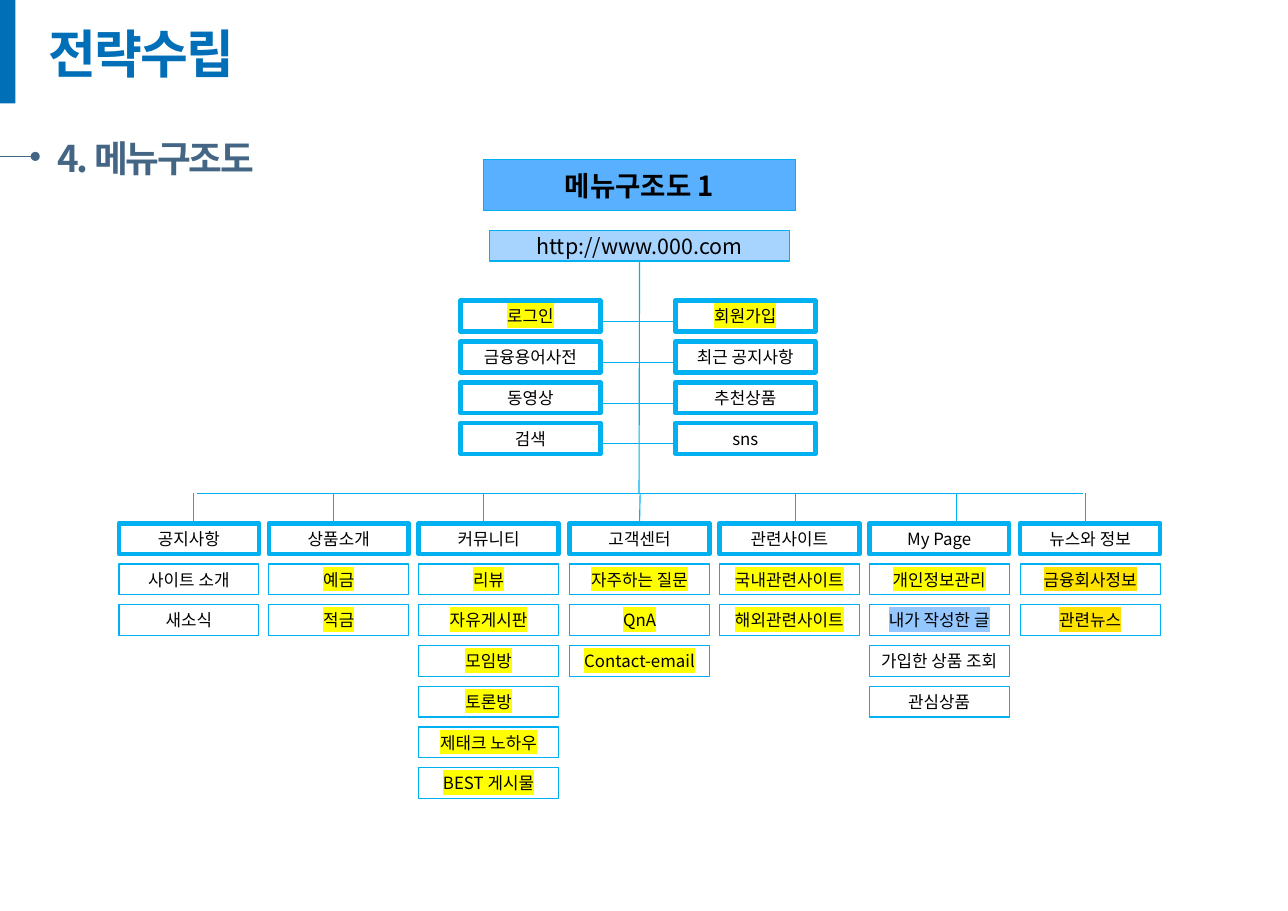
from dataclasses import dataclass

from lxml.etree import SubElement
from pptx import Presentation
from pptx.dml.color import RGBColor as RGB
from pptx.enum.shapes import MSO_CONNECTOR as CONN, MSO_SHAPE as SHAPE
from pptx.enum.text import MSO_ANCHOR as ANCHOR, MSO_AUTO_SIZE as AUTO, PP_ALIGN as ALIGN
from pptx.oxml.ns import qn
from pptx.util import Emu, Pt

EMU_PER_PX = 9144


@dataclass(frozen=True)
class Theme:
    """Colours, font, type sizes and line widths of the slide."""
    font: str = "Noto Sans CJK KR"
    title: str = "016FB8"
    heading: str = "446684"
    line: str = "00B0F0"
    ink: str = "000000"
    paper: str = "FFFFFF"
    banner: str = "59B0FF"
    address: str = "A6D4FF"
    yellow: str = "FFFF00"
    amber: str = "FFE200"
    blue: str = "94C7FF"
    title_pt: int = 34
    heading_pt: int = 24
    banner_pt: int = 18
    address_pt: int = 14
    item_pt: int = 11
    thin: float = 0.75
    thick: float = 3
    rule: float = 0.5


T = Theme()
BOX_W, BOX_H, ROW_STEP = 127, 28, 37
TRUNK_X, BUS_Y = 580, 448
QUICK_X, QUICK_Y = (418, 613), 273
MENU_X, MENU_Y, MENU_SPAN = 108, 475, 818

QUICK_LINKS = [
    (("로그인", T.yellow), ("회원가입", T.yellow)),
    (("금융용어사전", None), ("최근 공지사항", None)),
    (("동영상", None), ("추천상품", None)),
    (("검색", None), ("sns", None)),
]

MENUS = [
    ("공지사항", 176, [("사이트 소개", None), ("새소식", None)]),
    ("상품소개", 303, [("예금", T.yellow), ("적금", T.yellow)]),
    ("커뮤니티", 439, [("리뷰", T.yellow), ("자유게시판", T.yellow), ("모임방", T.yellow),
                   ("토론방", T.yellow), ("제태크 노하우", T.yellow),
                   ("BEST 게시물", T.yellow)]),
    ("고객센터", 581, [("자주하는 질문", T.yellow), ("QnA", T.yellow),
                   ("Contact-email", T.yellow)]),
    ("관련사이트", 722, [("국내관련사이트", T.yellow), ("해외관련사이트", T.yellow)]),
    ("My Page", 868, [("개인정보관리", T.yellow), ("내가 작성한 글", T.blue),
                      ("가입한 상품 조회", None), ("관심상품", None)]),
    ("뉴스와 정보", 985, [("금융회사정보", T.amber), ("관련뉴스", T.amber)]),
]


def px(n):
    """Turn px into EMU."""
    return Emu(n * EMU_PER_PX)


def write(tf, text, size=T.item_pt, color=T.ink, bold=False, mark=None,
          spacing=None, align=ALIGN.CENTER, wrap=False, leading=None):
    """Put one formatted line of text into a text frame."""
    tf.auto_size = AUTO.NONE
    tf.word_wrap = wrap
    tf.vertical_anchor = ANCHOR.MIDDLE
    p = tf.paragraphs[0]
    p.alignment = align
    p.space_before = Pt(0)
    if leading:
        p.line_spacing = leading
    r = p.add_run()
    r.text = text
    r.font.size = Pt(size)
    r.font.bold = bold
    r.font.color.rgb = RGB.from_string(color)
    rpr = r.font._element
    if spacing:
        rpr.set("spc", str(spacing))
    if mark:
        highlight = SubElement(rpr, qn("a:highlight"))
        SubElement(highlight, qn("a:srgbClr"), val=mark)
    r.font.name = T.font
    SubElement(rpr, qn("a:ea"), typeface=T.font)


def add_box(s, x, y, w=BOX_W, h=BOX_H, fill=T.paper, width=T.thin, text=None, **fmt):
    """Draw a rectangle, with an outline if width is set and text if given."""
    sp = s.shapes.add_shape(SHAPE.RECTANGLE, px(x), px(y), px(w), px(h))
    sp.shadow.inherit = False
    sp.fill.solid()
    sp.fill.fore_color.rgb = RGB.from_string(fill)
    if width:
        sp.line.color.rgb = RGB.from_string(T.line)
        sp.line.width = Pt(width)
    else:
        sp.line.fill.background()
    if text:
        tf = sp.text_frame
        tf.margin_left = tf.margin_right = px(11)
        tf.margin_top = tf.margin_bottom = px(6)
        write(tf, text, **fmt)
    return sp


def add_line(s, x1, y1, x2, y2, color=T.line, width=T.thin, tail=None):
    """Draw a straight connector, with an end mark if tail is set."""
    cxn = s.shapes.add_connector(CONN.STRAIGHT, px(x1), px(y1), px(x2), px(y2))
    cxn.line.color.rgb = RGB.from_string(color)
    cxn.line.width = Pt(width)
    if tail:
        SubElement(cxn.line._get_or_add_ln(), qn("a:tailEnd"), type=tail)
    SubElement(cxn._element.spPr, qn("a:effectLst"))
    return cxn


def add_headings(s):
    """Set the title, its side bar and the section heading."""
    add_box(s, 0, 0, 14, 94, fill=T.title, width=None)
    title = s.shapes.title
    title.left, title.top, title.width, title.height = map(px, (34, 20, 201, 62))
    write(title.text_frame, "전략수립", size=T.title_pt, color=T.title, bold=True,
          spacing=-110, align=ALIGN.LEFT, leading=0.9)
    heading = s.shapes.add_textbox(px(42), px(118), px(209), px(50))
    write(heading.text_frame, "4. 메뉴구조도", size=T.heading_pt, color=T.heading,
          bold=True, spacing=-150, align=ALIGN.LEFT, wrap=True)
    add_line(s, 0, 142, 32, 142, color=T.heading, width=T.rule, tail="oval")


def add_root(s):
    """Draw the banner, the site address and the trunk with its bus."""
    add_box(s, 439, 145, 283, 46, fill=T.banner, text="메뉴구조도 1",
            size=T.banner_pt, bold=True, wrap=True)
    address = add_box(s, 444, 209, 273, fill=T.address, text="http://www.000.com",
                      size=T.address_pt)
    trunk = add_line(s, TRUNK_X, 237, TRUNK_X, BUS_Y)
    trunk.begin_connect(address, 2)
    add_line(s, 179, BUS_Y, 983, BUS_Y)


def add_quick_links(s):
    """Draw the rows of quick links on both sides of the trunk."""
    for row, pair in enumerate(QUICK_LINKS):
        y = QUICK_Y + row * ROW_STEP
        for x, end, (text, mark) in zip(QUICK_X, (535, 613), pair):
            add_line(s, TRUNK_X, y + 19, end, y + 19)
            add_box(s, x, y, width=T.thick, text=text, mark=mark)


def add_menus(s):
    """Draw each menu head with its drop line and the items below."""
    for col, (name, drop_x, items) in enumerate(MENUS):
        x = MENU_X + col * MENU_SPAN // (len(MENUS) - 1)
        drop = add_line(s, drop_x, BUS_Y, drop_x, MENU_Y)
        head = add_box(s, x, MENU_Y, width=T.thick, text=name)
        if abs(drop_x - x - BOX_W / 2) < 1:
            drop.end_connect(head, 0)
        for row, (text, mark) in enumerate(items, 1):
            add_box(s, x, MENU_Y + row * ROW_STEP, text=text, mark=mark)


def main():
    """Build the slide and save it."""
    prs = Presentation()
    prs.slide_width, prs.slide_height = px(1169), px(827)
    s = prs.slides.add_slide(prs.slide_layouts[5])
    add_headings(s)
    add_root(s)
    add_quick_links(s)
    add_menus(s)
    prs.save("out.pptx")


if __name__ == "__main__":
    main()
